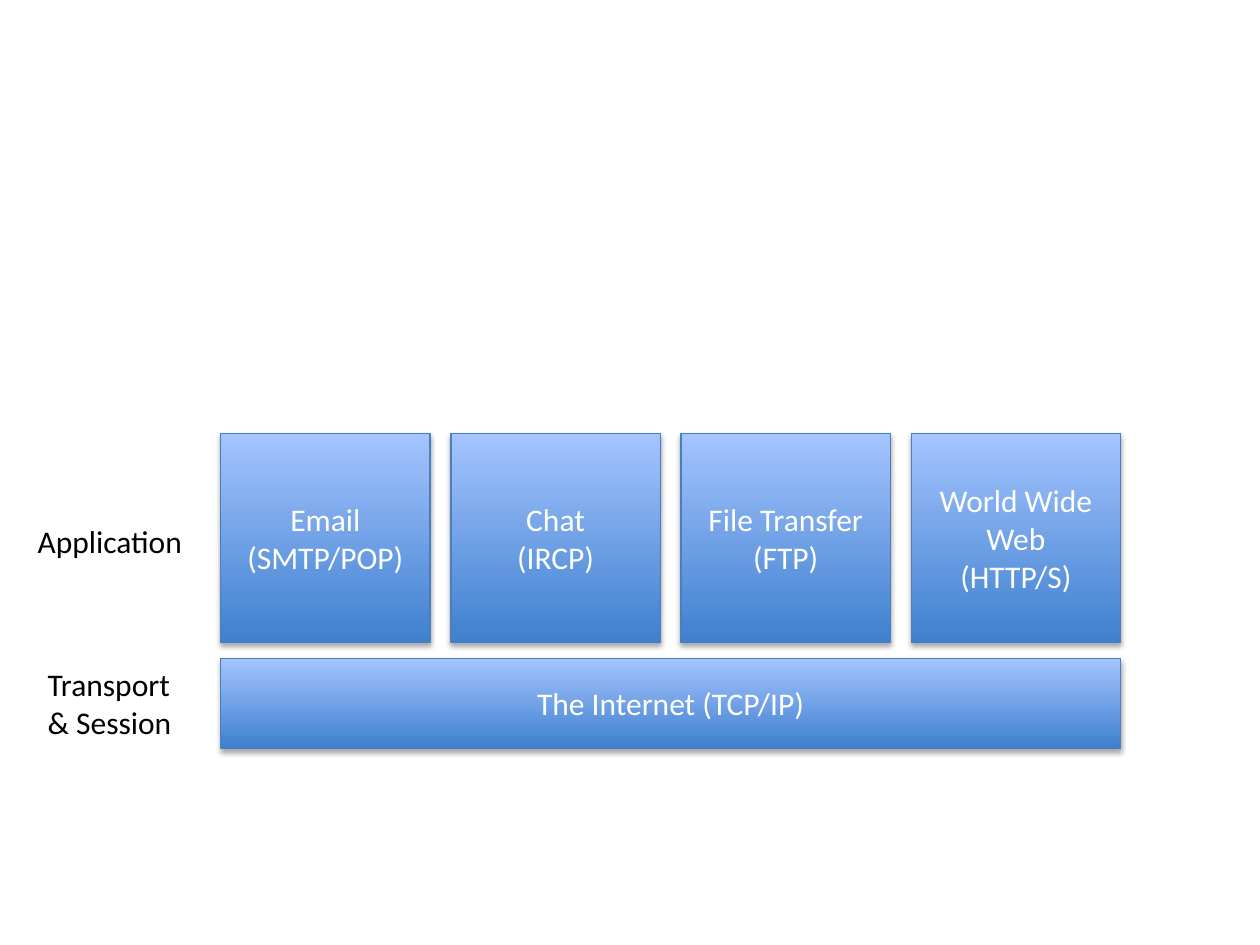
from dataclasses import dataclass

from lxml import etree
from pptx import Presentation
from pptx import util as u
from pptx.dml.color import RGBColor
from pptx.enum import shapes, text
from pptx.oxml.ns import qn

COLORS = {
    "bottom": "3F80CE",
    "top": "A4C4FF",
    "edge": "4B7EBC",
    "shadow": "000000",
    "on_block": "FFFFFF",
    "label": "000000",
}

STACK_LEFT = 4.45
APP_TOP, APP_SIZE, APP_GAP = 8.74, 4.22, 0.42
NET_TOP, NET_HEIGHT = 13.28, 1.8


@dataclass
class Item:
    lines: list[str]
    left: float
    top: float
    width: float
    height: float

    def box(self) -> list[u.Cm]:
        return [u.Cm(v) for v in (self.left, self.top, self.width, self.height)]


def rgb(name: str) -> RGBColor:
    return RGBColor.from_string(COLORS[name])


def write_lines(tf, lines: list[str], color: str, align) -> None:
    for i, line in enumerate(lines):
        p = tf.paragraphs[0] if i == 0 else tf.add_paragraph()
        p.alignment = align
        r = p.add_run()
        r.text = line
        r.font.size = u.Pt(18)
        r.font.name = "Calibri"
        r.font.color.rgb = rgb(color)


def add_drop_shadow(sp) -> None:
    sp.shadow.inherit = False
    effects = sp._element.spPr.find(qn("a:effectLst"))
    shadow = etree.SubElement(
        effects, qn("a:outerShdw"), blurRad=str(u.Pt(3.1)), dist=str(u.Pt(1.8)),
        dir="5400000", rotWithShape="0")
    color = etree.SubElement(shadow, qn("a:srgbClr"), val=COLORS["shadow"])
    etree.SubElement(color, qn("a:alpha"), val="35000")


def add_block(s, item: Item) -> None:
    sp = s.shapes.add_shape(shapes.MSO_SHAPE.RECTANGLE, *item.box())
    sp.fill.gradient()
    sp.fill.gradient_angle = 90
    for stop, position, name in zip(sp.fill.gradient_stops, (0, 1), ("bottom", "top")):
        stop.position = position
        stop.color.rgb = rgb(name)
    sp.line.color.rgb = rgb("edge")
    sp.line.width = u.Pt(0.75)
    add_drop_shadow(sp)
    tf = sp.text_frame
    tf.word_wrap = True
    tf.vertical_anchor = text.MSO_ANCHOR.MIDDLE
    write_lines(tf, item.lines, "on_block", text.PP_ALIGN.CENTER)


def add_label(s, item: Item) -> None:
    tf = s.shapes.add_textbox(*item.box()).text_frame
    tf.word_wrap = False
    tf.auto_size = text.MSO_AUTO_SIZE.SHAPE_TO_FIT_TEXT
    write_lines(tf, item.lines, "label", text.PP_ALIGN.LEFT)


def main() -> None:
    prs = Presentation()
    prs.slide_width, prs.slide_height = u.Cm(25.4), u.Cm(19.05)
    s = prs.slides.add_slide(prs.slide_layouts[6])

    applications = [
        ["Email", "(SMTP/POP)"],
        ["Chat", "(IRCP)"],
        ["File Transfer", "(FTP)"],
        ["World Wide Web", "(HTTP/S)"],
    ]
    pitch = APP_SIZE + APP_GAP
    stack_width = len(applications) * pitch - APP_GAP

    add_block(s, Item(["The Internet (TCP/IP)"], STACK_LEFT, NET_TOP, stack_width, NET_HEIGHT))
    for i, lines in enumerate(applications):
        add_block(s, Item(lines, STACK_LEFT + i * pitch, APP_TOP, APP_SIZE, APP_SIZE))

    add_label(s, Item(["Transport", "& Session"], 0.71, NET_TOP, 3.05, NET_HEIGHT))
    add_label(s, Item(["Application"], 0.51, 10.39, 3.45, 1.02))

    prs.save("out.pptx")


if __name__ == "__main__":
    main()
